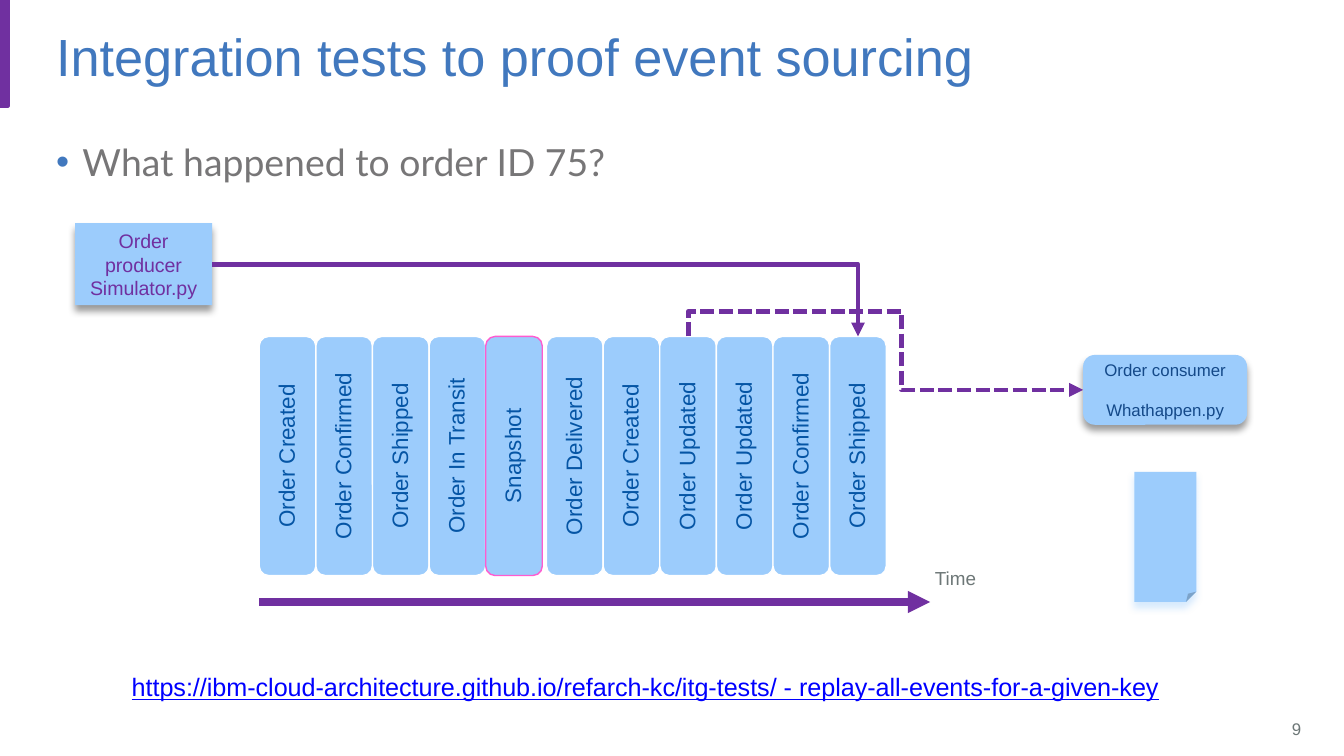
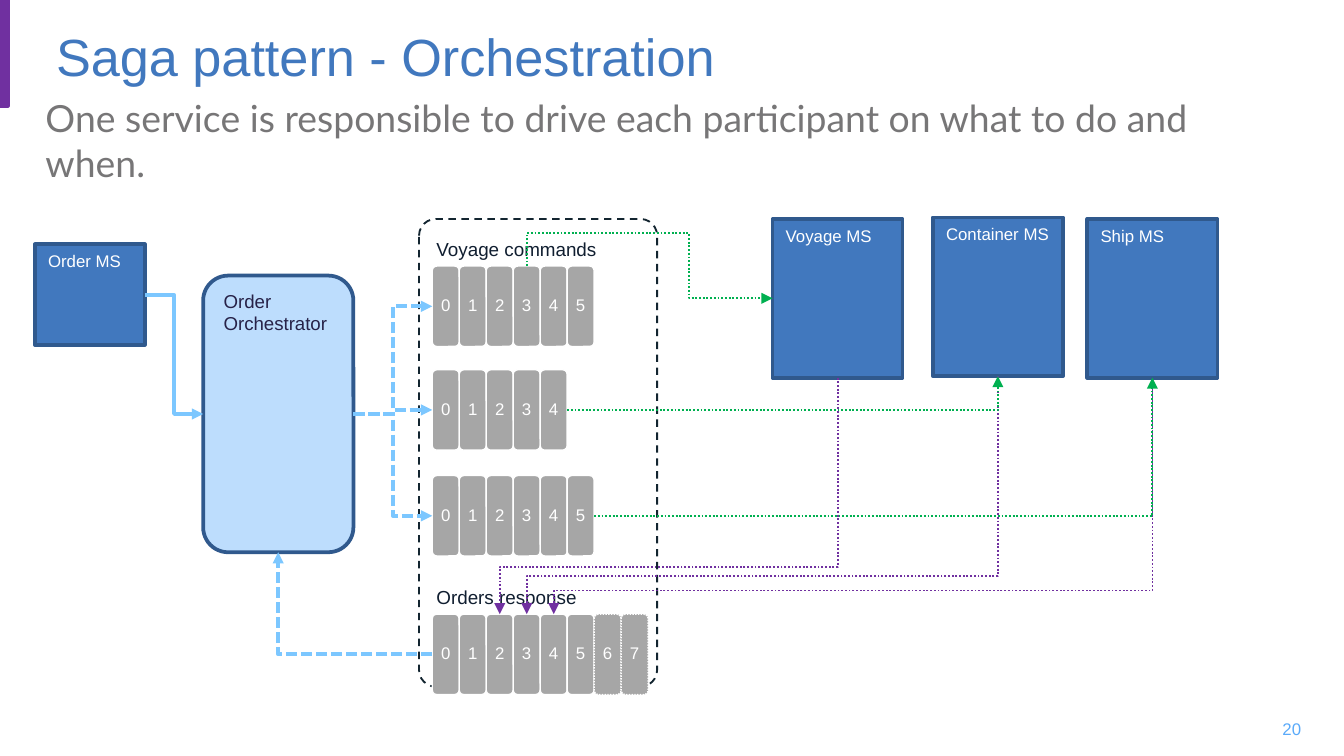
from dataclasses import dataclass

from lxml import etree
from pptx import Presentation
from pptx import util as u
from pptx.dml import color
from pptx.enum import dml, shapes, text
from pptx.oxml import ns

COLORS = {
    "purple": "7030A0", "title": "4178BE", "body": "777677", "gray": "6D7777",
    "white": "FFFFFF", "sky": "9CCCFC", "event": "0555A5", "pink": "FF5BD0",
    "consumer": "144989", "link": "0000FF", "number": "5AAAFA", "edge": "30598D",
    "tile": "A6A6A6", "frame": "132530", "label": "101E30", "pale": "BDDDFD",
    "orchestrator": "272248", "flow": "7CC7FF", "green": "00B050", "black": "000000",
}
DASH = dml.MSO_LINE.DASH
SQUARE = dml.MSO_LINE.SQUARE_DOT
DOT = dml.MSO_LINE.ROUND_DOT
RECT = shapes.MSO_SHAPE.RECTANGLE
ROUND = shapes.MSO_SHAPE.ROUNDED_RECTANGLE
FOLDED = shapes.MSO_SHAPE.FOLDED_CORNER
CENTER = text.PP_ALIGN.CENTER
MIDDLE = text.MSO_ANCHOR.MIDDLE


@dataclass
class Box:
    left: float
    top: float
    width: float
    height: float

    def at(self, across, down):
        return self.left + across * self.width, self.top + down * self.height

    def inner(self, left, top, width, height):
        return Box(self.left + left, self.top + top, width, height)

    def lengths(self):
        return [u.Cm(v) for v in (self.left, self.top, self.width, self.height)]


def rgb(name):
    return color.RGBColor.from_string(COLORS[name])


def child(parent, tag, **attributes):
    return etree.SubElement(parent, ns.qn(tag), attributes)


def add_bullet(para):
    props = para._p.get_or_add_pPr()
    props.set("marL", str(u.Cm(0.5)))
    props.set("indent", str(u.Cm(-0.5)))
    child(child(props, "a:buClr"), "a:srgbClr", val=COLORS["title"])
    child(props, "a:buFont", typeface="Arial")
    child(props, "a:buChar", char="•")


def write(frame, lines, size=9, ink="white", font="Arial", align=text.PP_ALIGN.LEFT,
          anchor=text.MSO_ANCHOR.TOP, wrap=True, inset=None, spacing=None, gap=0,
          underline=None, bullet=False, upward=False):
    frame.word_wrap = wrap
    frame.vertical_anchor = anchor
    if inset is not None:
        frame.margin_left = frame.margin_right = u.Cm(inset)
        frame.margin_top = frame.margin_bottom = u.Cm(inset)
    if upward:
        frame._txBody.bodyPr.set("vert", "vert270")
    for index, line in enumerate(lines.split("\n")):
        para = frame.add_paragraph() if index else frame.paragraphs[0]
        para.alignment = align
        if spacing:
            para.line_spacing = spacing
        if index and gap:
            para.space_before = u.Pt(gap)
        if bullet:
            add_bullet(para)
        span = para.add_run()
        span.text = line
        span.font.size = u.Pt(size)
        span.font.name = font
        span.font.underline = underline
        span.font.color.rgb = rgb(ink)


def add_text(page, box, lines, **style):
    write(page.shapes.add_textbox(*box.lengths()).text_frame, lines, **style)


def stroke(line, ink, weight, dash=None):
    line.color.rgb = rgb(ink)
    line.width = u.Pt(weight)
    if dash:
        line.dash_style = dash


def add_block(page, box, kind, fill=None, edge=None, weight=0.75, dash=None,
              shade=None, corner=None, lines="", **style):
    block = page.shapes.add_shape(kind, *box.lengths())
    block.shadow.inherit = False
    if corner is not None:
        block.adjustments[0] = corner
    if fill:
        block.fill.solid()
        block.fill.fore_color.rgb = rgb(fill)
    else:
        block.fill.background()
    if edge:
        stroke(block.line, edge, weight, dash)
    else:
        block.line.fill.background()
    if shade:
        effects = block._element.spPr.find(ns.qn("a:effectLst"))
        shadow = child(effects, "a:outerShdw", blurRad=str(u.Pt(4)), dist=str(u.Pt(3)),
                       dir="5400000", algn="t", rotWithShape="0")
        child(child(shadow, "a:srgbClr", val=COLORS[shade]), "a:alpha", val="40000")
    if lines:
        write(block.text_frame, lines, **style)


def finish_arrow(arrow, ink, weight, dash):
    stroke(arrow.line, ink, weight, dash)
    child(arrow.line._get_or_add_ln(), "a:tailEnd", type="triangle")
    child(arrow._element.spPr, "a:effectLst")


def add_arrow(page, start, end, ink, weight, dash=None):
    ends = [u.Cm(v) for v in (*start, *end)]
    arrow = page.shapes.add_connector(shapes.MSO_CONNECTOR.STRAIGHT, *ends)
    finish_arrow(arrow, ink, weight, dash)


def add_elbow(page, start, end, ink, weight, dash=None, bends=(), downward=False):
    (x1, y1), (x2, y2) = start, end
    turn = 0
    if downward:
        turn = 90 if x2 < x1 else 270
        sign = 1 if turn == 90 else -1
        mid_x, mid_y = (x1 + x2) / 2, (y1 + y2) / 2
        half_x, half_y = sign * (y2 - y1) / 2, sign * (x1 - x2) / 2
        x1, y1, x2, y2 = mid_x - half_x, mid_y - half_y, mid_x + half_x, mid_y + half_y
    ends = [u.Cm(v) for v in (x1, y1, x2, y2)]
    arrow = page.shapes.add_connector(shapes.MSO_CONNECTOR.ELBOW, *ends)
    arrow.rotation = turn
    geometry = arrow._element.spPr.find(ns.qn("a:prstGeom"))
    geometry.set("prst", f"bentConnector{len(bends) + 2}")
    guides = geometry.find(ns.qn("a:avLst"))
    for index, bend in enumerate(bends, 1):
        child(guides, "a:gd", name=f"adj{index}", fmla=f"val {round(bend * 100000)}")
    finish_arrow(arrow, ink, weight, dash)


def start_page(deck, title, number, number_ink):
    page = deck.slides.add_slide(deck.slide_layouts[6])
    add_block(page, Box(0, 0, 0.15, 2), RECT, "purple", "purple", 2)
    add_text(page, Box(0.81, 0.13, 23.32, 1.83), title, size=28, ink="title", anchor=MIDDLE)
    add_text(page, Box(23.72, 13.39, 1.12, 0.76), number, ink=number_ink,
             align=text.PP_ALIGN.RIGHT, anchor=MIDDLE)
    return page


def event_log(page, box):
    events = ("Created", "Confirmed", "Shipped", "In Transit", "Snapshot", "Delivered",
              "Created", "Updated", "Updated", "Confirmed", "Shipped")
    cards = []
    for index, event in enumerate(events):
        snapshot = event == "Snapshot"
        left = index * 1.07 + (0.08 if index > 4 else 0)
        card = box.inner(left, 0, 1.07, 4.52)
        add_block(page, card, ROUND, "sky", "pink" if snapshot else "white",
                  lines=event if snapshot else f"Order {event}", size=12, ink="event",
                  align=CENTER, anchor=MIDDLE, inset=0, spacing=0.9, upward=True)
        cards.append(card)
    add_arrow(page, box.at(0, 1), box.at(1, 1), "purple", 4)
    add_text(page, box.inner(12.52, 4.23, 1.32, 0.69), "Time", size=10.1, ink="gray", wrap=False)
    return cards


def event_sourcing_page(deck):
    page = start_page(deck, "Integration tests to proof event sourcing", "9", "gray")
    add_text(page, Box(0.81, 2.51, 23.32, 10.26), "What happened to order ID 75?",
             size=20, ink="body", font="Lato", bullet=True)
    cards = event_log(page, Box(4.9, 6.36, 12.68, 5.02))
    producer = Box(1.42, 4.22, 2.59, 1.55)
    consumer = Box(20.47, 6.71, 3.1, 1.32)
    add_block(page, consumer, ROUND, "sky", shade="black", ink="consumer", gap=10.5,
              lines="Order consumer\nWhathappen.py", align=CENTER, anchor=MIDDLE)
    add_elbow(page, cards[7].at(0.5, 0), consumer.at(0, 0.5), "purple", 2.5, SQUARE,
              (-0.47, 0.54), downward=True)
    add_block(page, producer, RECT, "sky", shade="black", size=10.5, ink="purple",
              lines="Order producer\nSimulator.py", align=CENTER, anchor=MIDDLE)
    add_elbow(page, producer.at(1, 0.5), cards[-1].at(0.5, 0), "purple", 2.5)
    add_block(page, Box(21.44, 8.92, 1.17, 2.46), FOLDED, "sky", shade="sky")
    add_text(page, Box(2.24, 12.57, 20.96, 0.84),
             "https://ibm-cloud-architecture.github.io/refarch-kc/itg-tests/"
             " - replay-all-events-for-a-given-key",
             size=13.5, ink="link", underline=True)


def queue(page, box, count, pending=0):
    cell = 0.51
    for index in range(count + pending):
        add_block(page, box.inner(index * cell, 0, cell, box.height), ROUND, "tile", "white",
                  dash=DOT if index >= count else None, lines=str(index),
                  align=CENTER, anchor=MIDDLE, inset=0, spacing=0.9)
    return Box(box.left, box.top, count * cell, box.height)


def topics(page, box):
    add_block(page, box, ROUND, edge="frame", weight=1, dash=DASH, corner=0.07)
    for label, top in (("Voyage commands", 0.23), ("Orders response", 6.81)):
        add_text(page, box.inner(0.08, top, 3.6, 0.69), label, size=10.1, ink="label", wrap=False)
    rows = ((0.89, 6, 0), (2.85, 5, 0), (4.85, 6, 0), (7.47, 6, 2))
    return [queue(page, box.inner(0.25, top, 0, 1.52), count, pending)
            for top, count, pending in rows]


def service(page, box, name):
    add_block(page, box, RECT, "title", "edge", 2, lines=name)
    return box


def orchestration_page(deck):
    page = start_page(deck, "Saga pattern - Orchestration", "20", "number")
    add_text(page, Box(0.61, 1.68, 23.09, 2.29),
             "One service is responsible to drive each participant on what to do and when.",
             size=20, ink="body", font="Lato")
    order = service(page, Box(0.66, 4.62, 2.08, 1.9), "Order MS")
    voyage = service(page, Box(14.6, 4.14, 2.46, 3), "Voyage MS")
    container = service(page, Box(17.63, 4.11, 2.46, 3), "Container MS")
    ship = service(page, Box(20.55, 4.14, 2.46, 3), "Ship MS")
    orchestrator = Box(3.84, 5.21, 2.84, 5.23)
    add_block(page, orchestrator, ROUND, "pale", "edge", 2, lines="Order\nOrchestrator",
              size=10, ink="orchestrator")
    *commands, response = topics(page, Box(7.92, 4.14, 4.5, 8.84))

    add_elbow(page, order.at(1, 0.5), orchestrator.at(0, 0.5), "flow", 2, bends=(0.5,))
    for row in commands:
        add_elbow(page, orchestrator.at(1, 0.5), row.at(0, 0.5), "flow", 2, SQUARE, (0.5,))
    add_elbow(page, response.at(0, 0.5), orchestrator.at(0.5, 1), "flow", 2, SQUARE)

    for index, (target, bend) in enumerate(((voyage, 0.8), (container, 0.84), (ship, 0.9)), 2):
        add_elbow(page, target.at(0.5, 1), response.at((index + 0.5) / 6, 0), "purple", 1, DOT,
                  (bend,), downward=True)
    add_elbow(page, commands[0].at(3.5 / 6, 0), voyage.at(0, 0.5), "green", 1, DOT,
              (-1.02, 0.66), downward=True)
    for row, target in zip(commands[1:], (container, ship)):
        add_elbow(page, row.at(1, 0.5), target.at(0.5, 1), "green", 1, DOT)


def main():
    deck = Presentation()
    deck.slide_width, deck.slide_height = u.Cm(25.4), u.Cm(14.29)
    event_sourcing_page(deck)
    orchestration_page(deck)
    deck.save("out.pptx")


if __name__ == "__main__":
    main()
